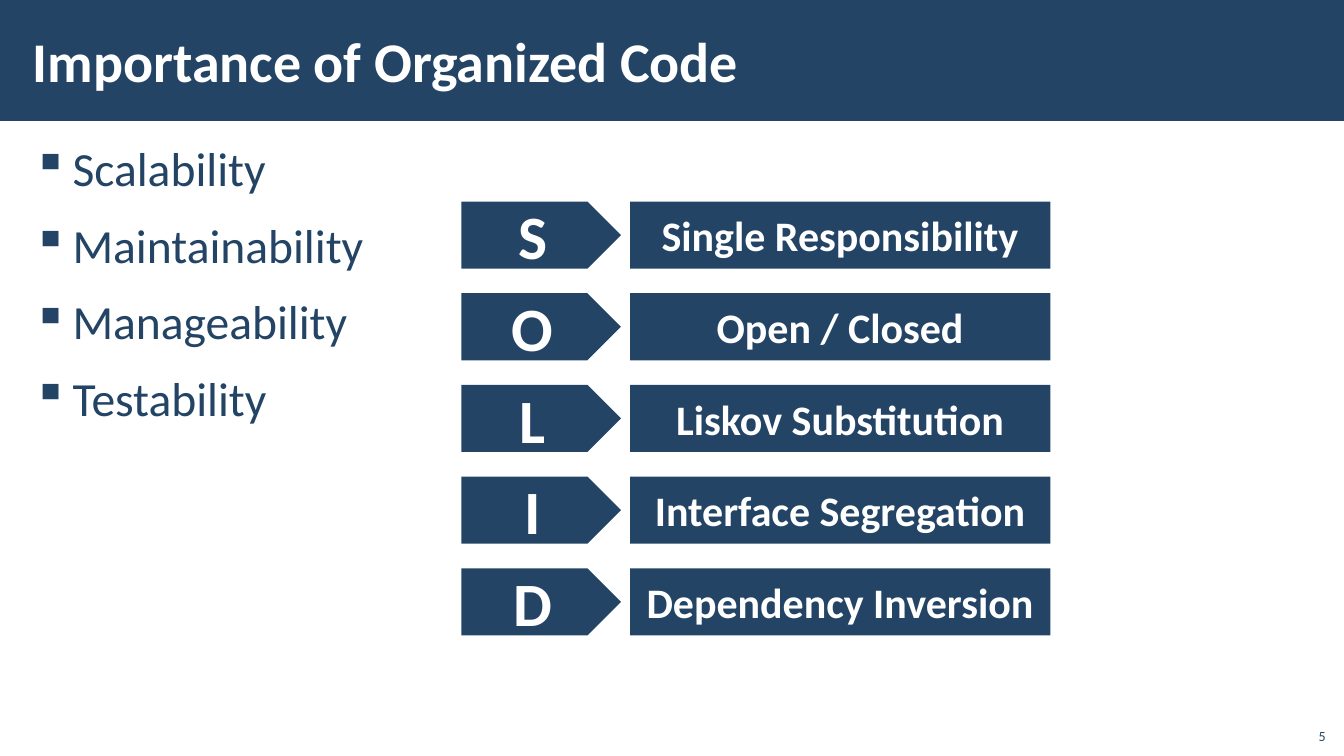
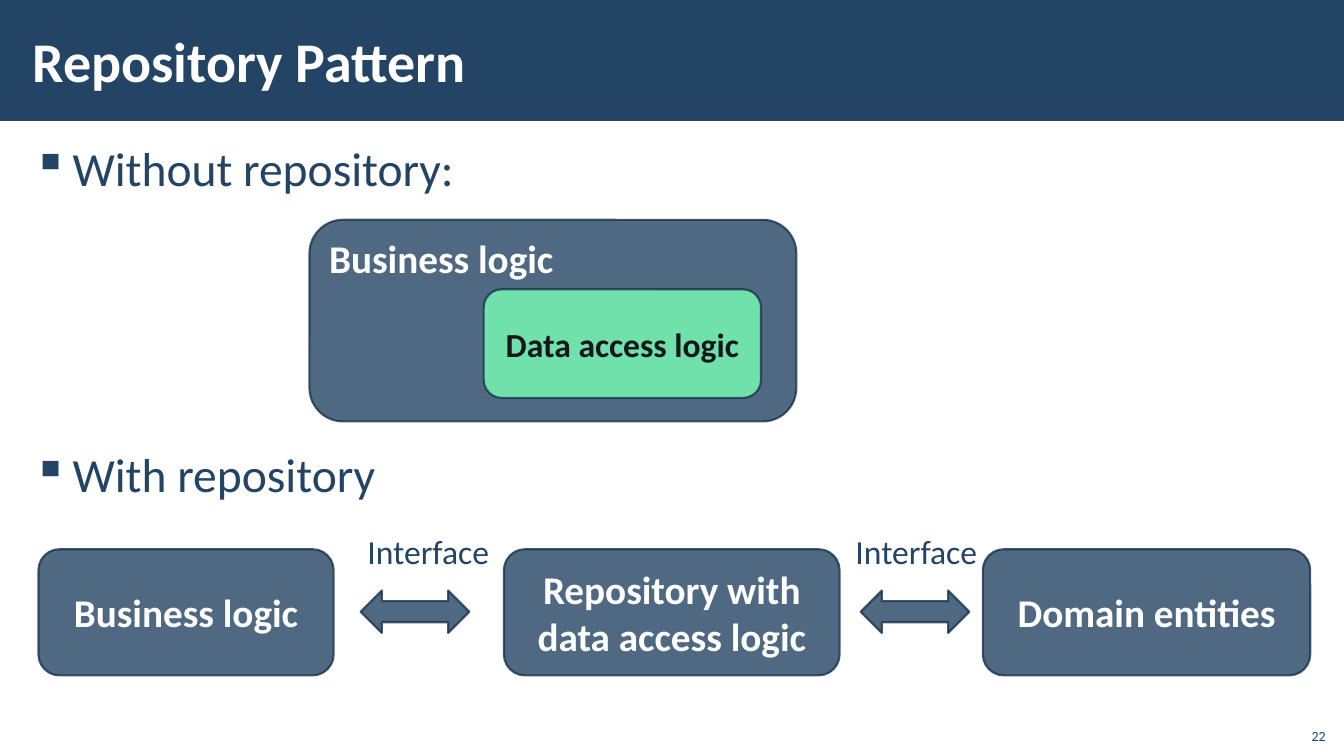
from lxml import etree
from pptx import Presentation
from pptx.dml.color import RGBColor
from pptx.enum.shapes import MSO_SHAPE
from pptx.enum.text import MSO_ANCHOR, PP_ALIGN
from pptx.oxml.ns import qn
from pptx.util import Cm, Pt

RECT = MSO_SHAPE.RECTANGLE
ROUND = MSO_SHAPE.ROUNDED_RECTANGLE
TAG = MSO_SHAPE.PENTAGON
ARROW = MSO_SHAPE.LEFT_RIGHT_ARROW
TOP, MID, LOW = MSO_ANCHOR.TOP, MSO_ANCHOR.MIDDLE, MSO_ANCHOR.BOTTOM
LEFT, MIDST, RIGHT = PP_ALIGN.LEFT, PP_ALIGN.CENTER, PP_ALIGN.RIGHT

# Shared look
WIDE, HIGH = 33.87, 19.05
NAVY, EDGE, MINT = "234465", "1A334C", "79FFB6"
WHITE, INK = "FFFFFF", "15171C"
ALPHA = "80000"
FONT = "Calibri"
BODY_PAD = (0.3, 0.1)
LABEL_PAD = (0.4, 0.3)
BULLET = {"line_spacing": 1.05, "space_before": Pt(6), "space_after": Pt(6)}


def rgb(code):
    return RGBColor.from_string(code)


def put(item, values):
    for name, value in values.items():
        setattr(item, name, value)


# Text
def write(shape, lines, size, color, bold=False, align=LEFT, anchor=TOP,
          pad=None, form=None):
    frame = shape.text_frame
    put(frame, {"text": "\n".join(lines), "word_wrap": True,
                "vertical_anchor": anchor})
    if pad:
        side, edge = map(Cm, pad)
        put(frame, {"margin_left": side, "margin_right": side,
                    "margin_top": edge, "margin_bottom": edge})
    for para in frame.paragraphs:
        put(para, {"alignment": align, **(form or {})})
        for run in para.runs:
            put(run.font, {"name": FONT, "size": Pt(size), "bold": bold})
            run.font.color.rgb = rgb(color)
    return frame


def label(slide, box, lines, size, color=NAVY, **style):
    area = slide.shapes.add_textbox(*map(Cm, box))
    return write(area, lines, size, color, **style)


def points(slide, lines, gap=6):
    frame = label(slide, (0.53, 3.33, 32.82, 15.37), lines, 34,
                  pad=BODY_PAD, form=BULLET)
    for para in frame.paragraphs[1:]:
        para.space_before = Pt(gap)
    for para in frame.paragraphs:
        props = para._p.get_or_add_pPr()
        props.set("marL", str(Cm(1)))
        props.set("indent", str(-Cm(1)))
        etree.SubElement(props, qn("a:buChar")).set("char", "▪")


# Shapes
def block(slide, kind, box, fill=NAVY):
    shape = slide.shapes.add_shape(kind, *map(Cm, box))
    shape.shadow.inherit = False
    shape.fill.solid()
    shape.fill.fore_color.rgb = rgb(fill)
    shape.line.fill.background()
    return shape


def glass(slide, kind, box, fill=NAVY):
    shape = block(slide, kind, box, fill)
    shape.line.color.rgb = rgb(EDGE)
    shape.line.width = Pt(1.5)
    for tint in shape._element.spPr.iter(qn("a:srgbClr")):
        etree.SubElement(tint, qn("a:alpha")).set("val", ALPHA)
    return shape


def center(shape, text, size, color=WHITE):
    write(shape, [text], size, color, bold=True, align=MIDST, anchor=MID)


# Slide frame: band, title, number
def start(deck, title, number):
    slide = deck.slides.add_slide(deck.slide_layouts[6])
    block(slide, RECT, (0, 0, WIDE, 3.05))
    label(slide, (0.53, 0.28, 27, 2.46), [title], 40, WHITE, bold=True,
          anchor=MID, pad=BODY_PAD)
    label(slide, (32.64, 18.08, 1.02, 0.81), [str(number)], 10,
          align=RIGHT, anchor=LOW)
    return slide


def solid(deck):
    slide = start(deck, "Importance of Organized Code", 5)
    points(slide, ["Scalability", "Maintainability", "Manageability",
                   "Testability"])
    rules = ["Single Responsibility", "Open / Closed", "Liskov Substitution",
             "Interface Segregation", "Dependency Inversion"]
    for row, rule in enumerate(rules):
        top = 5.08 + row * 2.31
        center(block(slide, TAG, (11.63, top, 4.02, 1.69)), rule[0], 44)
        center(block(slide, RECT, (15.88, top, 10.59, 1.69)), rule, 30)


def pattern(deck):
    slide = start(deck, "Repository Pattern", 22)
    points(slide, ["Without repository:", "With repository"], gap=170)

    # Nested logic
    outer = glass(slide, ROUND, (7.8, 5.54, 12.27, 5.08))
    write(outer, ["Business logic"], 28, WHITE, bold=True)
    inner = glass(slide, ROUND, (12.19, 7.29, 6.99, 2.74), MINT)
    center(inner, "Data access logic", 24, INK)

    # Separate layers
    layers = [("Business logic", 0.97, 7.44),
              ("Repository with data access logic", 12.7, 8.46),
              ("Domain entities", 24.77, 8.25)]
    for text, left, width in layers:
        center(glass(slide, ROUND, (left, 13.84, width, 3.18)), text, 28)
    for left, near in [(9.09, 8.86), (21.69, 21.16)]:
        glass(slide, ARROW, (left, 14.88, 2.74, 1.07))
        label(slide, (near, 12.98, 4.06, 1.68), ["Interface"], 24,
              pad=LABEL_PAD, form={"line_spacing": 1.1})


def main():
    deck = Presentation()
    put(deck, {"slide_width": Cm(WIDE), "slide_height": Cm(HIGH)})
    solid(deck)
    pattern(deck)
    deck.save("out.pptx")


if __name__ == "__main__":
    main()
